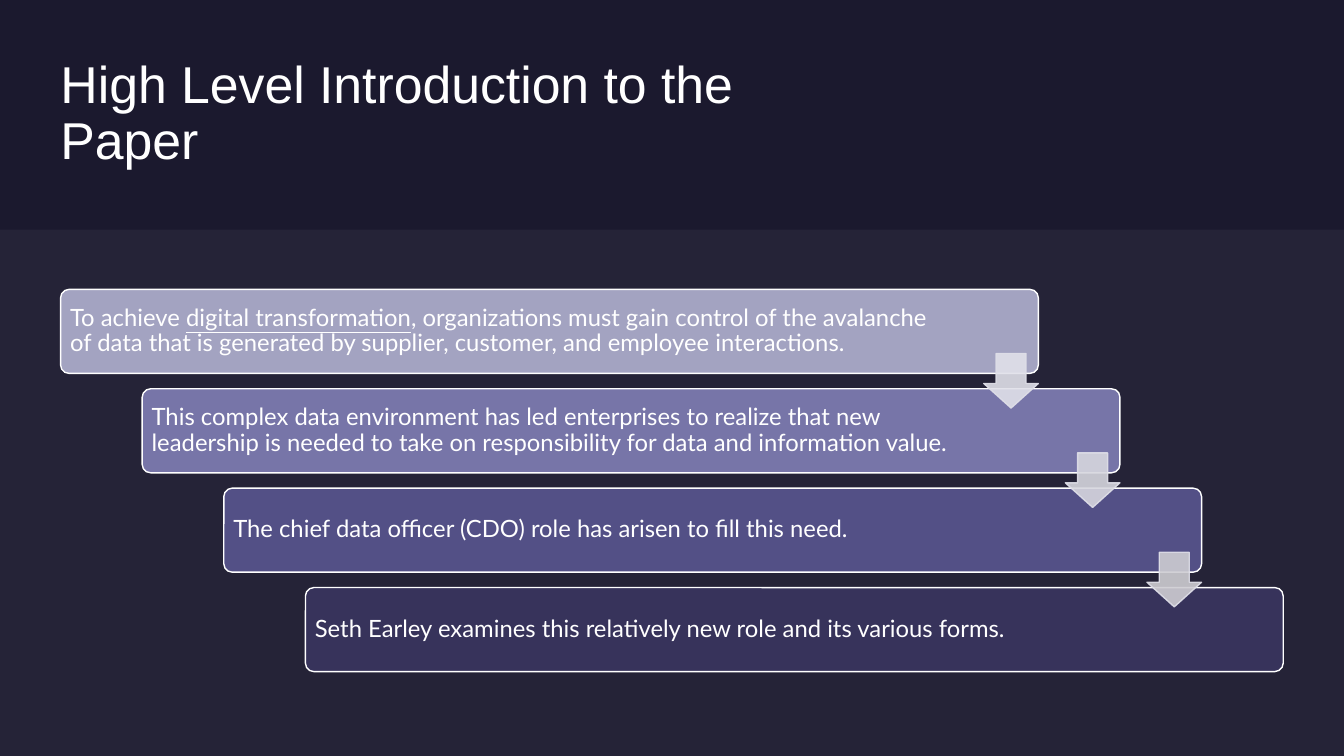
import pptx
import pptx.util
import pptx.dml.color
import pptx.enum.shapes
import pptx.enum.text
import pptx.oxml.ns
import lxml.etree

Pt = pptx.util.Pt
SHAPES = pptx.enum.shapes.MSO_SHAPE
COLOURS = {
    "background": "1B192E", "panel": "E4E3F0", "white": "FFFFFF", "arrow_line": "E0E0E9",
    "step_1": "A3A3C1", "step_2": "7775A8", "step_3": "535086", "step_4": "37335B",
    "arrow_1": "E0E0E9", "arrow_2": "D6D6DE", "arrow_3": "CECDD2",
}
STEPS = [
    [("To achieve ", False), ("digital transformation", True),
     (", organizations must gain control of the avalanche of data that is generated by "
      "supplier, customer, and employee interactions.", False)],
    [("This complex data environment has led enterprises to realize that new leadership "
      "is needed to take on responsibility for data and information value.", False)],
    [("The chief data officer (CDO) role has arisen to fill this need.", False)],
    [("Seth Earley examines this relatively new role and its various forms.", False)],
]
SLIDE_WIDTH, SLIDE_HEIGHT = 960, 540
STEP_LEFT, STEP_TOP, STEP_WIDTH, STEP_HEIGHT = 43.3, 206.7, 698.4, 60
STEP_SHIFT, STEP_PITCH = 58.3, 71
ARROW_SIZE, ARROW_DROP = 39, 45.8


def colour(name):
    """Return the named colour as an RGB value."""
    return pptx.dml.color.RGBColor.from_string(COLOURS[name])


def set_opacity(fill_format, percent):
    """Set the opacity of a solid fill."""
    element = fill_format._xPr.find(pptx.oxml.ns.qn("a:solidFill"))[0]
    alpha = lxml.etree.SubElement(element, pptx.oxml.ns.qn("a:alpha"))
    alpha.set("val", str(percent * 1000))


def add_block(slide, kind, box, fill, line=None, opacity=100, adjustments=()):
    """Add a filled preset shape with an optional outline."""
    shape = slide.shapes.add_shape(kind, *map(Pt, box))
    shape.shadow.inherit = False
    for index, value in enumerate(adjustments):
        shape.adjustments[index] = value
    shape.fill.solid()
    shape.fill.fore_color.rgb = colour(fill)
    if line:
        shape.line.color.rgb = colour(line)
        shape.line.width = Pt(1)
    else:
        shape.line.fill.background()
    if opacity < 100:
        set_opacity(shape.fill, opacity)
        if line:
            set_opacity(shape.line.fill, opacity)


def add_text(slide, runs, box, font="Lato", size=17, margin=5):
    """Add a wrapped, vertically centred text box made of (text, underline) runs."""
    frame = slide.shapes.add_textbox(*map(Pt, box)).text_frame
    frame.word_wrap = True
    frame.vertical_anchor = pptx.enum.text.MSO_ANCHOR.MIDDLE
    frame.margin_left = frame.margin_right = Pt(margin)
    frame.margin_top = frame.margin_bottom = Pt(margin)
    paragraph = frame.paragraphs[0]
    paragraph.line_spacing = 0.9
    for text, underline in runs:
        run = paragraph.add_run()
        run.text = text
        run.font.name = font
        run.font.size = Pt(size)
        run.font.color.rgb = colour("white")
        if underline:
            run.font.underline = True


def add_step(slide, index, runs):
    """Add one box of the staircase with its text."""
    left, top = STEP_LEFT + index * STEP_SHIFT, STEP_TOP + index * STEP_PITCH
    add_block(slide, SHAPES.ROUNDED_RECTANGLE, (left, top, STEP_WIDTH, STEP_HEIGHT),
              f"step_{index + 1}", line="white", adjustments=[0.1])
    text_width = 598 if index else 628.6
    add_text(slide, runs, (left + 1.75, top + 1.75, text_width, STEP_HEIGHT - 3.5))


def add_step_arrow(slide, index):
    """Add the arrow that leads from one step down to the next."""
    left = STEP_LEFT + index * STEP_SHIFT + STEP_WIDTH - ARROW_SIZE
    top = STEP_TOP + index * STEP_PITCH + ARROW_DROP
    add_block(slide, SHAPES.DOWN_ARROW, (left, top, ARROW_SIZE, ARROW_SIZE),
              f"arrow_{index + 1}", line="arrow_line", opacity=90, adjustments=[0.55, 0.45])


def main():
    """Build the slide and save it."""
    presentation = pptx.Presentation()
    presentation.slide_width, presentation.slide_height = Pt(SLIDE_WIDTH), Pt(SLIDE_HEIGHT)
    slide = presentation.slides.add_slide(presentation.slide_layouts[6])
    slide.background.fill.solid()
    slide.background.fill.fore_color.rgb = colour("background")
    add_block(slide, SHAPES.RECTANGLE, (0, 0, SLIDE_WIDTH, SLIDE_HEIGHT), "background")
    add_text(slide, [("High Level Introduction to the Paper", False)],
             (43.2, 43.2, 575, 77.8), font="Arial", size=37, margin=0)
    add_block(slide, SHAPES.RECTANGLE, (0, 164, SLIDE_WIDTH, 376), "panel", opacity=5)
    for index, runs in enumerate(STEPS):
        add_step(slide, index, runs)
    for index in range(len(STEPS) - 1):
        add_step_arrow(slide, index)
    presentation.save("out.pptx")


if __name__ == "__main__":
    main()
